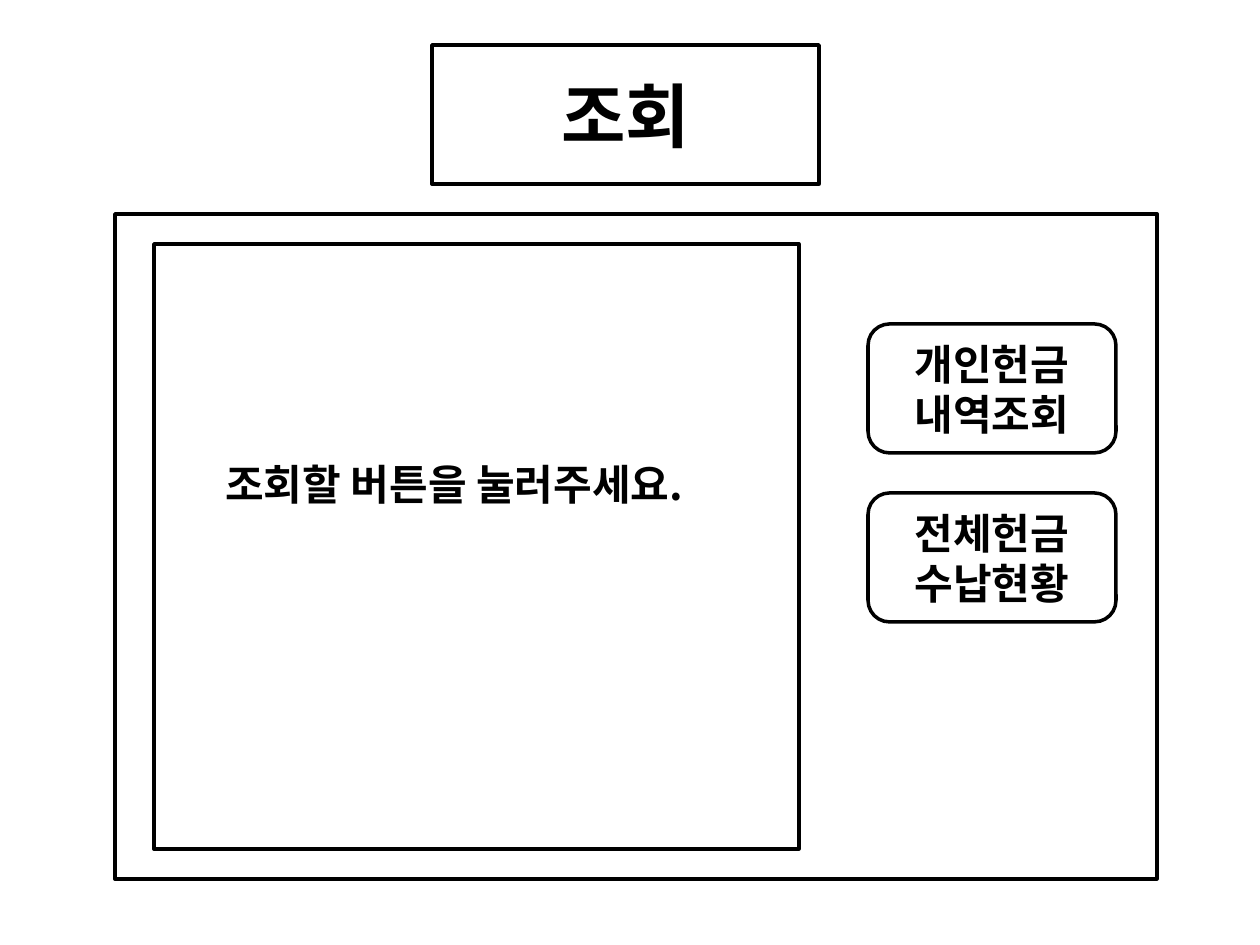
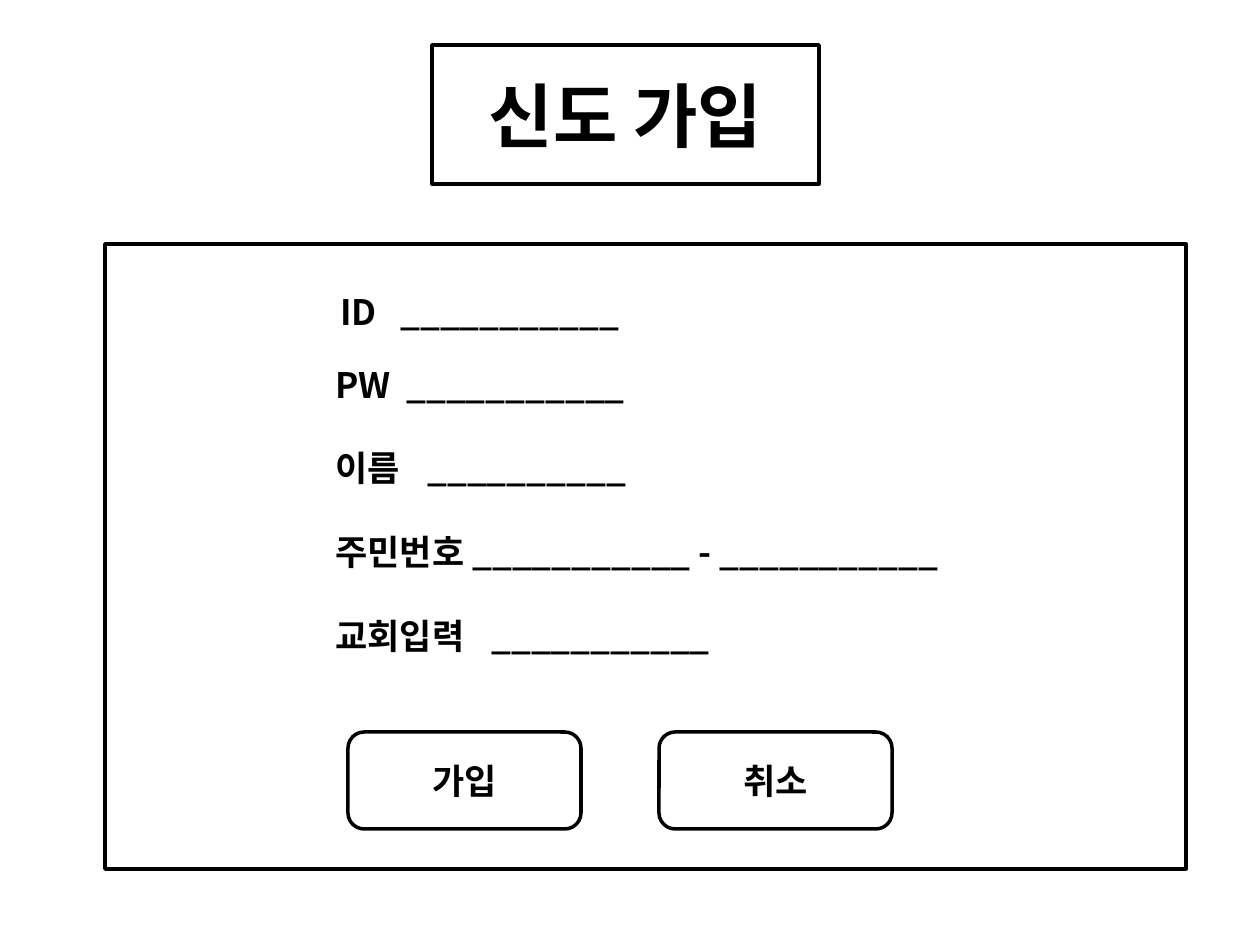
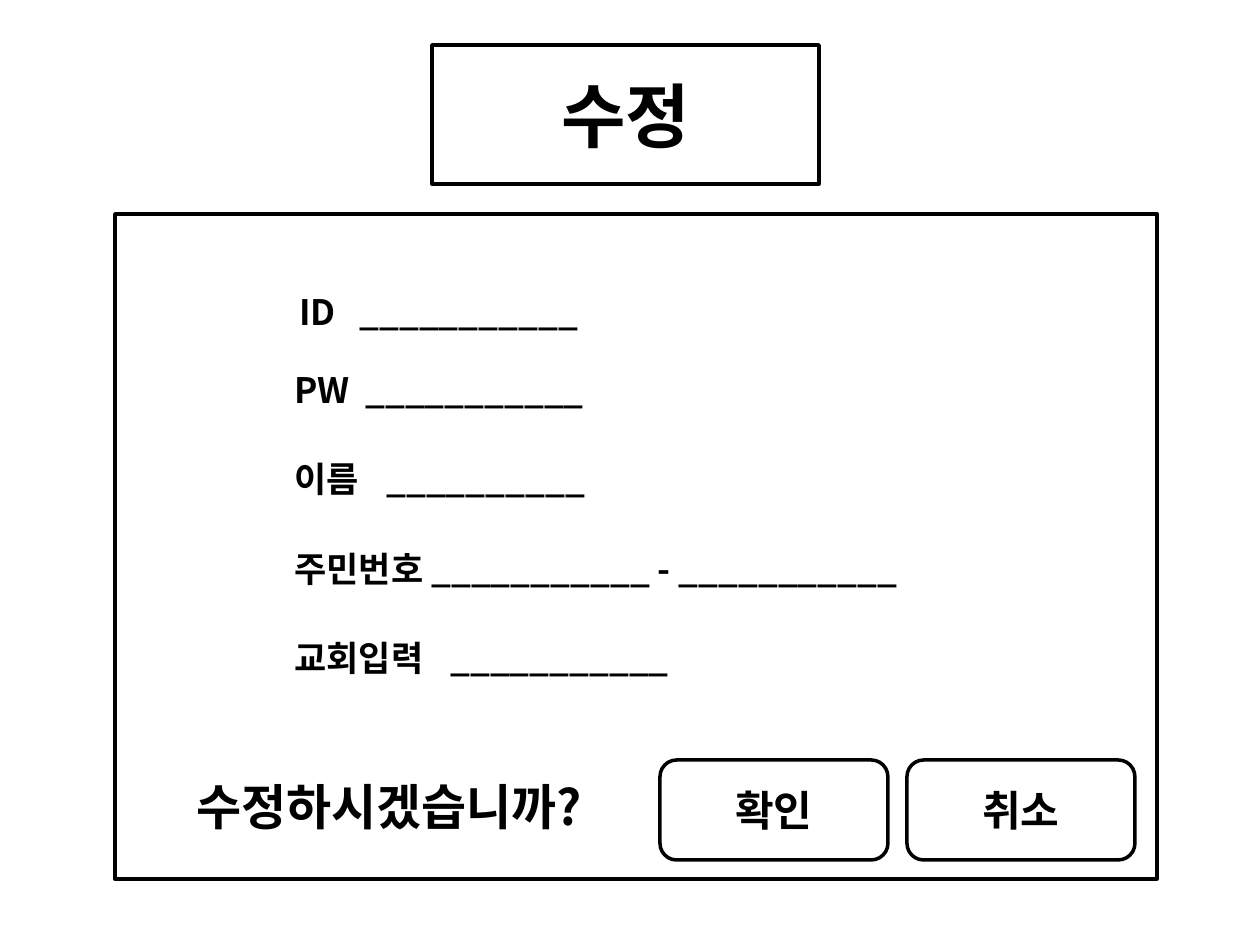
import pptx
import pptx.util
import pptx.dml.color
import pptx.enum.shapes
import pptx.enum.text
import pptx.oxml.ns
import lxml.etree

PX = 914400 / 126
FONT = "Noto Sans CJK KR"
COLORS = {"ink": "000000", "page": "FFFFFF"}
OUTLINE = 2
TITLE_BOX = (432, 45, 387, 139)
WIDE_FRAME = (115, 214, 1042, 665)

FIELDS = [
    {"text": "ID\t___________", "indent": 5, "drop": 0, "width": 400, "tab": 60},
    {"text": "PW\t___________", "indent": 0, "drop": 73, "width": 413, "tab": 71},
    {"text": "이름\t__________", "indent": 0, "drop": 156, "width": 375, "tab": 92},
    {"text": "주민번호 ___________ - ___________", "indent": 0, "drop": 240, "width": 724, "tab": None},
    {"text": "교회입력\t___________", "indent": 0, "drop": 324, "width": 466, "tab": 156},
]
FIELD_HEIGHT = 77

SCREENS = [
    {
        "title": "조회",
        "frames": [WIDE_FRAME, (154, 244, 645, 605)],
        "prompt": {"text": "조회할 버튼을 눌러주세요.", "box": (213, 452, 532, 63), "size": 24},
        "buttons": {"labels": ["개인헌금\n내역조회", "전체헌금\n수납현황"],
                    "first": (868, 324, 248, 129), "step": (0, 169), "size": 24},
    },
    {
        "title": "신도 가입",
        "frames": [(105, 244, 1081, 625)],
        "form": {"left": 323, "top": 284, "stretch": (1, 1)},
        "buttons": {"labels": ["가입", "취소"],
                    "first": (348, 732, 233, 97), "step": (311, 0), "size": 20},
    },
    {
        "title": "수정",
        "frames": [WIDE_FRAME],
        "prompt": {"text": "수정하시겠습니까?", "box": (184, 770, 444, 72), "size": 28},
        "form": {"left": 282, "top": 284, "stretch": (0.99, 1.07)},
        "buttons": {"labels": ["확인", "취소"],
                    "first": (660, 760, 228, 100), "step": (247, 0), "size": 24},
    },
]


def emu(box):
    return [round(length * PX) for length in box]


def color(name):
    return pptx.dml.color.RGBColor.from_string(COLORS[name])


def write(frame, text, size, align="LEFT", anchor="TOP", wrap=True, fit="NONE", tab=None):
    frame.word_wrap = wrap
    frame.auto_size = getattr(pptx.enum.text.MSO_AUTO_SIZE, fit)
    frame.vertical_anchor = getattr(pptx.enum.text.MSO_ANCHOR, anchor)
    frame.text = text
    for line in frame.paragraphs:
        line.alignment = getattr(pptx.enum.text.PP_ALIGN, align)
        if tab:
            stops = lxml.etree.SubElement(line._p.get_or_add_pPr(), pptx.oxml.ns.qn("a:tabLst"))
            lxml.etree.SubElement(stops, pptx.oxml.ns.qn("a:tab"), pos=str(round(tab * PX)), algn="l")
        for run in line.runs:
            run.font.size = pptx.util.Pt(size)
            run.font.bold = True
            run.font.color.rgb = color("ink")
            run.font.name = FONT
            lxml.etree.SubElement(run._r.get_or_add_rPr(), pptx.oxml.ns.qn("a:ea"), typeface=FONT)


def outline(shape):
    shape.fill.background()
    shape.line.color.rgb = color("ink")
    shape.line.width = pptx.util.Pt(OUTLINE)


def add_box(slide, kind, box):
    shape = slide.shapes.add_shape(getattr(pptx.enum.shapes.MSO_SHAPE, kind), *emu(box))
    shape.shadow.inherit = False
    outline(shape)
    return shape


def add_title(slide, text):
    title = slide.shapes.title
    title.left, title.top, title.width, title.height = emu(TITLE_BOX)
    geometry = lxml.etree.SubElement(title._element.spPr, pptx.oxml.ns.qn("a:prstGeom"), prst="roundRect")
    lxml.etree.SubElement(geometry, pptx.oxml.ns.qn("a:avLst"))
    outline(title)
    write(title.text_frame, text, 40, align="CENTER", anchor="MIDDLE")


def add_prompt(slide, text, box, size):
    prompt = slide.shapes.add_textbox(*emu(box))
    write(prompt.text_frame, text, size, wrap=False, fit="SHAPE_TO_FIT_TEXT")


def add_form(slide, left, top, stretch):
    across, down = stretch
    for field in FIELDS:
        box = (left + field["indent"], top + field["drop"] * down,
               field["width"] * across, FIELD_HEIGHT * down)
        entry = slide.shapes.add_textbox(*emu(box))
        write(entry.text_frame, field["text"], 20, tab=field["tab"])


def add_buttons(slide, labels, first, step, size):
    left, top, width, height = first
    for index, label in enumerate(labels):
        box = (left + index * step[0], top + index * step[1], width, height)
        button = add_box(slide, "ROUNDED_RECTANGLE", box)
        write(button.text_frame, label, size, align="CENTER", anchor="MIDDLE")


def build_screen(deck, screen):
    slide = deck.slides.add_slide(deck.slide_layouts[5])
    slide.background.fill.solid()
    slide.background.fill.fore_color.rgb = color("page")
    add_title(slide, screen["title"])
    for frame in screen["frames"]:
        add_box(slide, "RECTANGLE", frame)
    for part, add_part in (("prompt", add_prompt), ("form", add_form), ("buttons", add_buttons)):
        if part in screen:
            add_part(slide, **screen[part])


def main():
    deck = pptx.Presentation()
    deck.slide_width = pptx.util.Inches(10)
    deck.slide_height = pptx.util.Inches(7.5)
    for screen in SCREENS:
        build_screen(deck, screen)
    deck.save("out.pptx")


if __name__ == "__main__":
    main()
